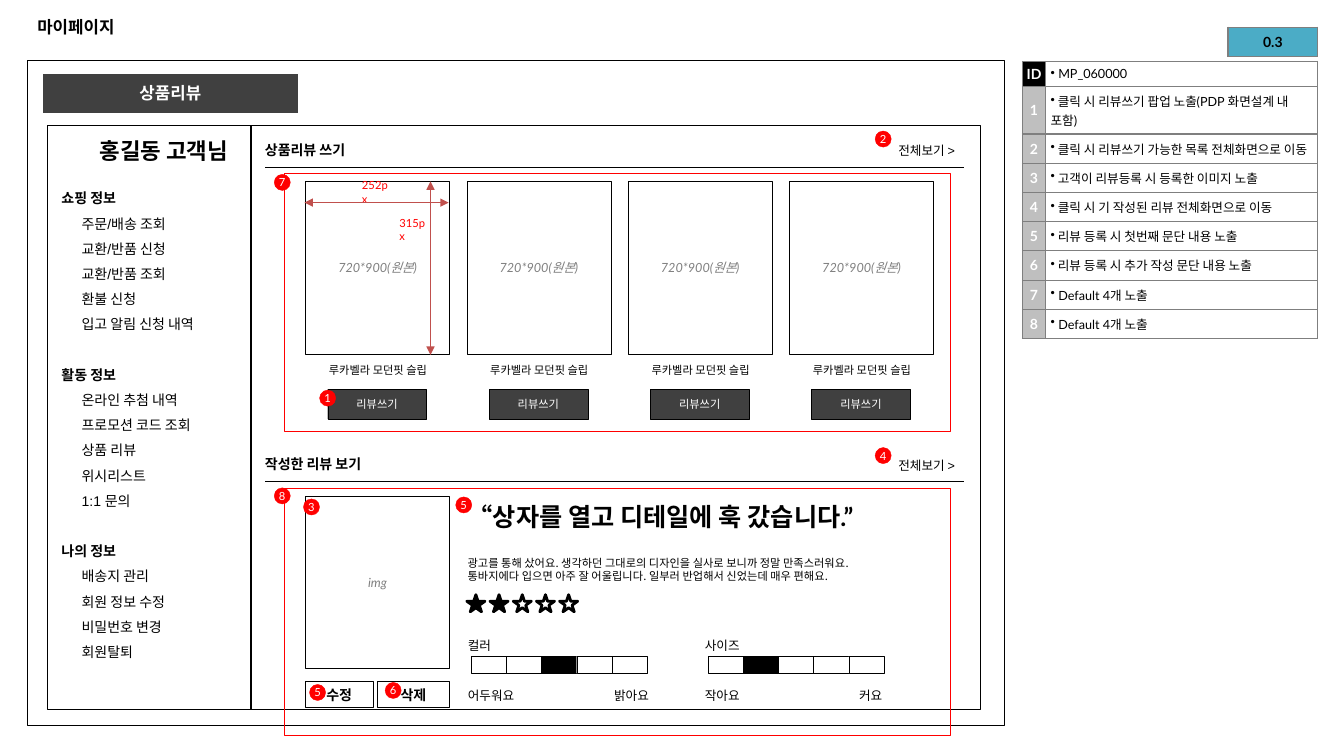
from dataclasses import dataclass
from typing import Any, Optional

from lxml import etree
from pptx import Presentation
from pptx import util as u
from pptx.dml import color
from pptx.enum import shapes, text
from pptx.oxml import ns

COLORS = {
    "black": "000000", "white": "FFFFFF", "dark": "404040", "gray": "808080",
    "border": "7F7F7F", "number": "BFBFBF", "red": "FF0000",
    "measure": "C0504D", "version": "4BACC6",
}
KOREAN = "Noto Sans CJK KR"
LEFT, CENTER, RIGHT = text.PP_ALIGN.LEFT, text.PP_ALIGN.CENTER, text.PP_ALIGN.RIGHT
TOP, MIDDLE = text.MSO_ANCHOR.TOP, text.MSO_ANCHOR.MIDDLE
RECT, OVAL = shapes.MSO_SHAPE.RECTANGLE, shapes.MSO_SHAPE.OVAL
STAR = shapes.MSO_SHAPE.STAR_5_POINT
TIGHT = (0.04, 0.04)


@dataclass(frozen=True)
class Style:
    size: float = 9
    font: str = "Lato"
    color: str = "black"
    bold: bool = False
    italic: bool = False
    align: Any = LEFT
    anchor: Any = TOP
    inset: tuple = (0.1, 0.05)
    spacing: Any = None


@dataclass(frozen=True)
class Badge:
    number: int
    left: float
    top: float


@dataclass(frozen=True)
class Rating:
    name: str
    low: str
    high: str
    left: float
    bar_left: float
    high_left: float
    chosen: int


SECTION = Style(10, "Arial", bold=True, anchor=MIDDLE, spacing=u.Pt(18))
VIEW_ALL = Style(9, "Arial", align=RIGHT, anchor=MIDDLE, spacing=u.Pt(18))
IMAGE = Style(9, color="gray", italic=True, align=CENTER, anchor=MIDDLE, inset=TIGHT)
PRODUCT = Style(8, align=CENTER, inset=TIGHT)
MEASURE = Style(8, color="red", anchor=MIDDLE, inset=TIGHT)
BUTTON = Style(8, KOREAN, "white", align=CENTER, anchor=MIDDLE)
EDIT = Style(10, KOREAN, bold=True, align=CENTER, anchor=MIDDLE)
BADGE = Style(8, color="white", align=CENTER, anchor=MIDDLE, inset=(0, 0))
LABEL = Style(9, inset=TIGHT, spacing=1.5)
NUMBER = Style(10, color="white", bold=True, align=CENTER, anchor=MIDDLE, inset=(0, 0))
VERSION = Style(10, bold=True, align=CENTER, anchor=MIDDLE, inset=(0, 0))
NOTE = Style(9, anchor=MIDDLE, inset=(0.05, 0.05))

MENU = {
    "쇼핑 정보": ["주문/배송 조회", "교환/반품 신청", "교환/반품 조회", "환불 신청", "입고 알림 신청 내역"],
    "활동 정보": ["온라인 추첨 내역", "프로모션 코드 조회", "상품 리뷰", "위시리스트", "1:1 문의"],
    "나의 정보": ["배송지 관리", "회원 정보 수정", "비밀번호 변경", "회원탈퇴"],
}
NOTES = [
    "MP_060000", "클릭 시 리뷰쓰기 팝업 노출(PDP 화면설계 내 포함)",
    "클릭 시 리뷰쓰기 가능한 목록 전체화면으로 이동", "고객이 리뷰등록 시 등록한 이미지 노출",
    "클릭 시 기 작성된 리뷰 전체화면으로 이동", "리뷰 등록 시 첫번째 문단 내용 노출",
    "리뷰 등록 시 추가 작성 문단 내용 노출", "Default 4개 노출", "Default 4개 노출",
]
BADGES = [
    Badge(2, 8.68, 1.3), Badge(1, 3.17, 3.87), Badge(5, 3.07, 6.79), Badge(6, 3.82, 6.77),
    Badge(3, 3.01, 4.95), Badge(4, 8.68, 4.44), Badge(5, 4.52, 4.93), Badge(7, 2.72, 1.73),
    Badge(8, 2.72, 4.84),
]
RATINGS = [
    Rating("컬러", "어두워요", "밝아요", 4.6, 4.67, 6.05, 2),
    Rating("사이즈", "작아요", "커요", 6.95, 7.02, 8.48, 1),
]


def rgb(name: str) -> color.RGBColor:
    return color.RGBColor.from_string(COLORS[name])


def add_run(paragraph: Any, words: str, style: Style) -> None:
    run = paragraph.add_run()
    run.text = words
    font = run.font
    font.size, font.name = u.Pt(style.size), style.font
    font.bold, font.italic = style.bold, style.italic
    font.color.rgb = rgb(style.color)
    etree.SubElement(run._r.get_or_add_rPr(), ns.qn("a:ea"), typeface=KOREAN)
    paragraph.alignment = style.align
    if style.spacing:
        paragraph.line_spacing = style.spacing


def place(item: Any, left: float, top: float, width: float, height: float) -> None:
    item.left, item.top = u.Inches(left), u.Inches(top)
    item.width, item.height = u.Inches(width), u.Inches(height)


def set_frame(frame: Any, style: Style) -> None:
    frame.word_wrap, frame.auto_size = True, text.MSO_AUTO_SIZE.NONE
    frame.vertical_anchor = style.anchor
    frame.margin_left = frame.margin_right = u.Inches(style.inset[0])
    frame.margin_top = frame.margin_bottom = u.Inches(style.inset[1])


def add_label(parent: Any, at: tuple, words: str, style: Style) -> None:
    label = parent.add_textbox(*map(u.Inches, at))
    set_frame(label.text_frame, style)
    add_run(label.text_frame.paragraphs[0], words, style)


def add_box(parent: Any, at: tuple, fill: Optional[str] = None, words: str = "",
            style: Style = BUTTON, kind: Any = RECT, line: str = "black", weight: float = 0.25) -> None:
    box = parent.add_shape(kind, *map(u.Inches, at))
    box.shadow.inherit = False
    if fill:
        box.fill.solid()
        box.fill.fore_color.rgb = rgb(fill)
    else:
        box.fill.background()
    box.line.color.rgb, box.line.width = rgb(line), u.Pt(weight)
    if words:
        set_frame(box.text_frame, style)
        add_run(box.text_frame.paragraphs[0], words, style)


def add_line(parent: Any, ends: tuple, line: str = "black", weight: float = 0.75,
             arrows: bool = False) -> None:
    rule = parent.add_connector(shapes.MSO_CONNECTOR.STRAIGHT, *map(u.Inches, ends))
    rule.line.color.rgb, rule.line.width = rgb(line), u.Pt(weight)
    if arrows:
        for end in ("a:headEnd", "a:tailEnd"):
            etree.SubElement(rule.line._get_or_add_ln(), ns.qn(end), type="triangle")
    etree.SubElement(rule._element.spPr, ns.qn("a:effectLst"))


def fill_cell(cell: Any, words: str, style: Style, fill: Optional[str] = None) -> None:
    properties = cell._tc.get_or_add_tcPr()
    for side in ("a:lnL", "a:lnR", "a:lnT", "a:lnB"):
        border = etree.SubElement(properties, ns.qn(side), w=str(u.Pt(1)))
        solid = etree.SubElement(border, ns.qn("a:solidFill"))
        etree.SubElement(solid, ns.qn("a:srgbClr"), val=COLORS["border"])
    if fill:
        cell.fill.solid()
        cell.fill.fore_color.rgb = rgb(fill)
    else:
        cell.fill.background()
    cell.margin_left = cell.margin_right = u.Inches(style.inset[0])
    cell.margin_top = cell.margin_bottom = u.Inches(style.inset[1])
    cell.vertical_anchor = style.anchor
    add_run(cell.text_frame.paragraphs[0], words, style)


def add_grid(parent: Any, left: float, top: float, widths: list, heights: list) -> Any:
    at = (left, top, sum(widths), sum(heights))
    grid = parent.add_table(len(heights), len(widths), *map(u.Inches, at)).table
    grid.first_row = grid.horz_banding = False
    for column, width in zip(grid.columns, widths):
        column.width = u.Inches(width)
    for row, height in zip(grid.rows, heights):
        row.height = u.Inches(height)
    return grid


def add_menu(menu: Any) -> None:
    place(menu, 0.51, 1.75, 1.97, 4.8)
    set_frame(menu.text_frame, Style())
    for heading, entries in MENU.items():
        for entry in [heading, *entries]:
            is_heading = entry == heading
            is_first = entry == "쇼핑 정보"
            paragraph = menu.text_frame.paragraphs[0] if is_first else menu.text_frame.add_paragraph()
            add_run(paragraph, entry, Style(10, "Arial", bold=is_heading, spacing=u.Pt(18)))
            paragraph.space_before = u.Pt(18 if is_heading and not is_first else 0)
            properties = paragraph._p.get_or_add_pPr()
            properties.set("marL", str(u.Inches(0 if is_heading else 0.2)))
            properties.set("indent", "0")
            etree.SubElement(properties, ns.qn("a:buNone"))


def main() -> None:
    deck = Presentation()
    deck.slide_width, deck.slide_height = u.Inches(13.33), u.Inches(7.5)
    page = deck.slides.add_slide(deck.slide_layouts[1])
    canvas = page.shapes

    # Page frame, title and side menu
    title, menu = page.placeholders
    place(title, 0.27, 0.07, 12.79, 0.39)
    title_style = Style(12, "Arial", bold=True, anchor=MIDDLE)
    set_frame(title.text_frame, title_style)
    add_run(title.text_frame.paragraphs[0], "마이페이지", title_style)
    add_box(canvas, (0.27, 0.6, 9.69, 6.6), weight=0.75)
    add_box(canvas, (0.42, 0.73, 2.54, 0.39), "dark", "상품리뷰",
            Style(12, "Arial", "white", True, align=CENTER, anchor=MIDDLE), line="white")
    for left, width in ((0.47, 2.02), (2.48, 7.24)):
        add_box(canvas, (left, 1.24, width, 5.8))
    add_label(canvas, (0.89, 1.33, 1.72, 0.33), "홍길동 고객님",
              Style(16, "Arial", bold=True, spacing=u.Pt(18)))
    add_menu(menu)

    # Section headers
    for heading, top, rule in (("상품리뷰 쓰기", 1.28, 1.66), ("작성한 리뷰 보기", 4.4, 4.78)):
        add_label(canvas, (2.53, top, 1.97, 0.33), heading, SECTION)
        add_label(canvas, (7.6, top, 1.97, 0.33), "전체보기 >", VIEW_ALL)
        add_line(canvas, (2.63, rule, 9.56, rule))

    # Products waiting for a review
    for index in range(4):
        left = 3.03 + 1.6 * index
        add_box(canvas, (left, 1.8, 1.43, 1.71), words="720*900(원본)", style=IMAGE)
        add_label(canvas, (left, 3.56, 1.44, 0.21), "루카벨라 모던핏 슬립", PRODUCT)
        add_box(canvas, (left + 0.22, 3.86, 0.98, 0.3), "dark", "리뷰쓰기")
    add_label(canvas, (3.55, 1.8, 0.38, 0.21), "252px", MEASURE)
    add_label(canvas, (3.92, 2.17, 0.38, 0.21), "315px", MEASURE)
    for ends in ((4.27, 3.52, 4.27, 1.8), (3.02, 2.01, 4.45, 2.01)):
        add_line(canvas, ends, "measure", 0.25, arrows=True)

    # Written review
    add_box(canvas, (3.03, 4.92, 1.43, 1.71), words="img", style=IMAGE)
    add_label(canvas, (4.54, 4.92, 4.43, 0.54), "“상자를 열고 디테일에 훅 갔습니다.”", Style(18, bold=True))
    add_label(canvas, (4.54, 5.47, 4.43, 0.36),
              "광고를 통해 샀어요. 생각하던 그대로의 디자인을 실사로 보니까 정말 만족스러워요. "
              "통바지에다 입으면 아주 잘 어울립니다. 일부러 반업해서 신었는데 매우 편해요.", Style(8, KOREAN))
    add_box(canvas, (3.03, 6.76, 0.67, 0.26), "white", "수정", EDIT)
    add_box(canvas, (3.74, 6.76, 0.72, 0.26), "white", "삭제", EDIT)

    # Stars and rating bars
    stars = canvas.add_group_shape().shapes
    for index in range(5):
        add_box(stars, (4.63 + 0.23 * index, 5.9, 0.18, 0.17), "black" if index < 2 else None,
                kind=STAR, weight=2)
    for rating in RATINGS:
        bar = canvas.add_group_shape().shapes
        for step in range(5):
            add_box(bar, (rating.bar_left + 0.35 * step, 6.51, 0.35, 0.17),
                    "black" if step == rating.chosen else "white")
        add_label(canvas, (rating.left, 6.21, 1.75, 0.32), rating.name, LABEL)
        add_label(canvas, (rating.left, 6.71, 0.59, 0.32), rating.low, LABEL)
        add_label(canvas, (rating.high_left, 6.71, 0.59, 0.32), rating.high, LABEL)

    # Red areas and numbered badges
    for top, height in ((1.72, 2.56), (4.84, 2.45)):
        add_box(canvas, (2.82, top, 6.6, height), line="red")
    for badge in BADGES:
        add_box(canvas, (badge.left, badge.top, 0.16, 0.16), "red", str(badge.number), BADGE, OVAL, "red")

    # Version and description tables
    version = add_grid(canvas, 12.18, 0.27, [0.89], [0.29])
    fill_cell(version.cell(0, 0), "0.3", VERSION, "version")
    notes = add_grid(canvas, 10.14, 0.61, [0.23, 2.7], [0.25, 0.47] + [0.29] * 7)
    for row, note in enumerate(NOTES):
        fill_cell(notes.cell(row, 0), str(row or "ID"), NUMBER, "number" if row else "black")
        fill_cell(notes.cell(row, 1), " " + note, NOTE)
        properties = notes.cell(row, 1).text_frame.paragraphs[0]._p.get_or_add_pPr()
        etree.SubElement(properties, ns.qn("a:buChar"), char="•")

    deck.save("out.pptx")


if __name__ == "__main__":
    main()
